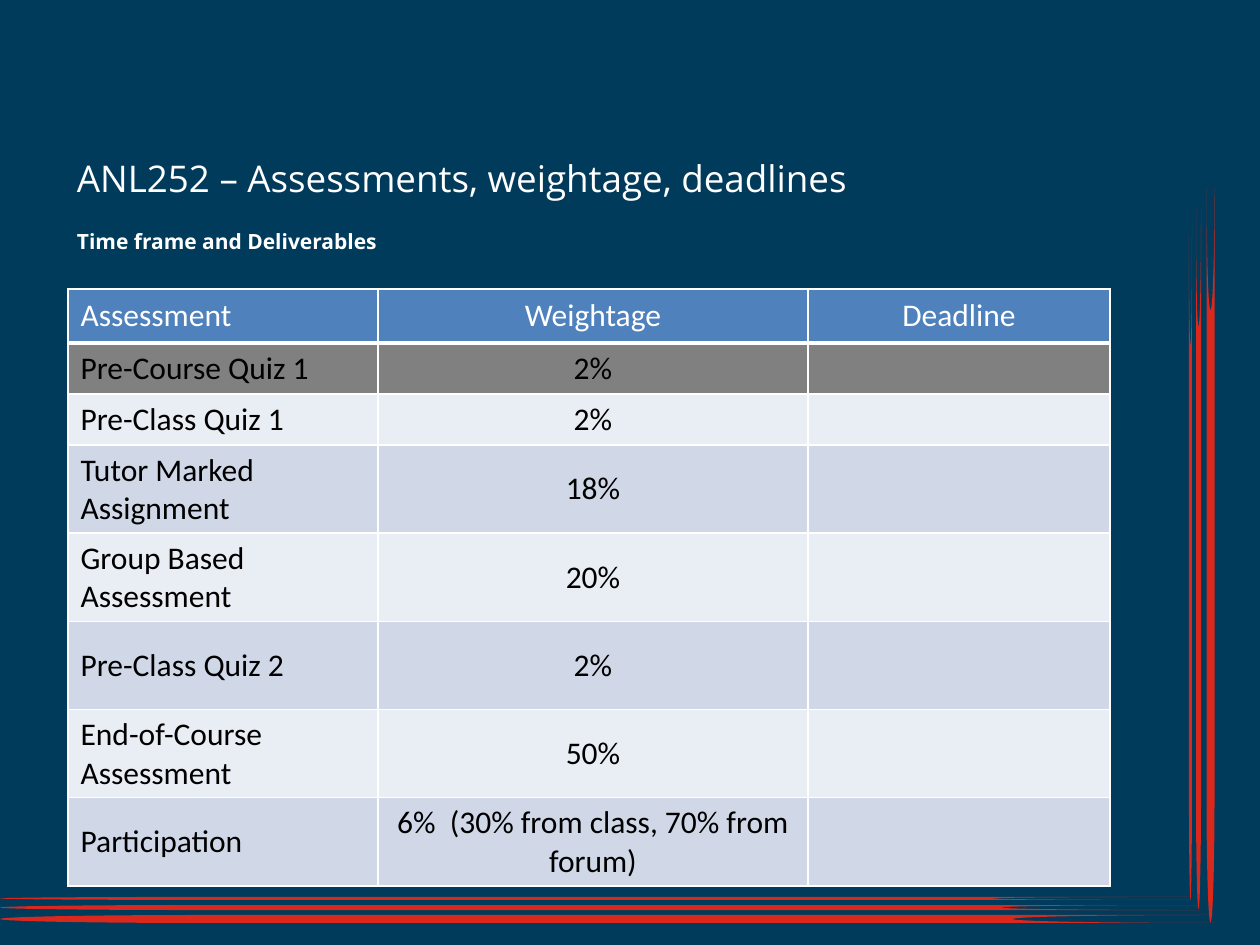
"""Build the ANL252 slide of assessments, weightage and deadlines."""
from lxml.etree import SubElement
from pptx import Presentation
from pptx.dml.color import RGBColor
from pptx.enum.shapes import MSO_SHAPE
from pptx.enum.text import MSO_ANCHOR, PP_ALIGN
from pptx.oxml.ns import qn
from pptx.util import Pt

TITLE = "ANL252 – Assessments, weightage, deadlines"
SUBTITLE = "Time frame and Deliverables"
ASSESSMENTS = [
    ("Assessment", "Weightage", "Deadline"),
    ("Pre-Course Quiz 1", "2%", ""),
    ("Pre-Class Quiz 1", "2%", ""),
    ("Tutor Marked Assignment", "18%", ""),
    ("Group Based Assessment", "20%", ""),
    ("Pre-Class Quiz 2", "2%", ""),
    ("End-of-Course Assessment", "50%", ""),
    ("Participation", "6%  (30% from class, 70% from forum)", ""),
]
COLUMN_WIDTHS = [310, 430, 302]
ROW_HEIGHTS = [54, 51, 51, 51, 88, 88, 88, 51]
STRIPES = [
    (0, 897, 1191, 3, 0),
    (0, 905, 1201, 5, 0),
    (0, 915, 1215, 8, 0),
    (858, 566, 665, 3, 270),
    (849, 557, 699, 5, 270),
    (843, 551, 735, 8, 270),
]
NAVY, RED, WHITE, BLACK = "003B5C", "DA291C", "FFFFFF", "000000"
HEADER_BLUE, DONE_GREY = "4F81BD", "808080"
BANDS = ["E9EDF4", "D0D8E8"]


def px(length):
    return round(length * 914400 / 126)


def color(hex_code):
    return RGBColor.from_string(hex_code)


def style(paragraph, font_name, size, hex_code, align=PP_ALIGN.LEFT, bold=False):
    paragraph.alignment = align
    font = paragraph.font
    font.name, font.size, font.bold = font_name, Pt(size), bold
    font.color.rgb = color(hex_code)


def place_heading(shape, text, box, size, bold=False):
    shape.left, shape.top, shape.width, shape.height = map(px, box)
    frame = shape.text_frame
    frame.margin_left = frame.margin_right = px(9)
    frame.margin_top = frame.margin_bottom = px(5)
    frame.vertical_anchor = MSO_ANCHOR.MIDDLE
    frame.word_wrap = True
    frame.text = text
    style(frame.paragraphs[0], "Open Sans", size, WHITE, bold=bold)


def add_stripe(slide, left, top, width, height, rotation):
    stripe = slide.shapes.add_shape(
        MSO_SHAPE.FLOWCHART_STORED_DATA, px(left), px(top), px(width), px(height))
    stripe.rotation = rotation
    stripe.shadow.inherit = False
    stripe.fill.solid()
    stripe.fill.fore_color.rgb = color(RED)
    stripe.line.fill.background()


def add_borders(cell, is_header):
    properties = cell._tc.get_or_add_tcPr()
    for side in "LRTB":
        width = 3 if is_header and side == "B" else 1
        line = SubElement(properties, qn(f"a:ln{side}"), w=str(Pt(width)))
        SubElement(SubElement(line, qn("a:solidFill")), qn("a:srgbClr"), val=WHITE)


def row_fill(row):
    return [HEADER_BLUE, DONE_GREY][row] if row < 2 else BANDS[row % 2]


def add_assessments(slide):
    table = slide.shapes.add_table(
        len(ASSESSMENTS), len(COLUMN_WIDTHS), px(68), px(289),
        px(sum(COLUMN_WIDTHS)), px(sum(ROW_HEIGHTS))).table
    for column, width in zip(table.columns, COLUMN_WIDTHS):
        column.width = px(width)
    for r, (entries, height) in enumerate(zip(ASSESSMENTS, ROW_HEIGHTS)):
        table.rows[r].height = px(height)
        for c, entry in enumerate(entries):
            cell = table.cell(r, c)
            add_borders(cell, r == 0)
            cell.fill.solid()
            cell.fill.fore_color.rgb = color(row_fill(r))
            cell.vertical_anchor = MSO_ANCHOR.MIDDLE
            cell.text = entry
            style(cell.text_frame.paragraphs[0], "Calibri", 18,
                  BLACK if r else WHITE, PP_ALIGN.CENTER if c else PP_ALIGN.LEFT)


def main():
    deck = Presentation()
    deck.slide_width, deck.slide_height = px(1260), px(945)
    slide = deck.slides.add_slide(deck.slide_layouts[5])
    slide.background.fill.solid()
    slide.background.fill.fore_color.rgb = color(NAVY)
    for stripe in STRIPES:
        add_stripe(slide, *stripe)
    place_heading(slide.shapes.title, TITLE, (68, 146, 856, 63), 21)
    place_heading(slide.shapes.add_textbox(0, 0, 0, 0), SUBTITLE,
                  (68, 225, 780, 32), 12, bold=True)
    add_assessments(slide)
    deck.save("out.pptx")


if __name__ == "__main__":
    main()
